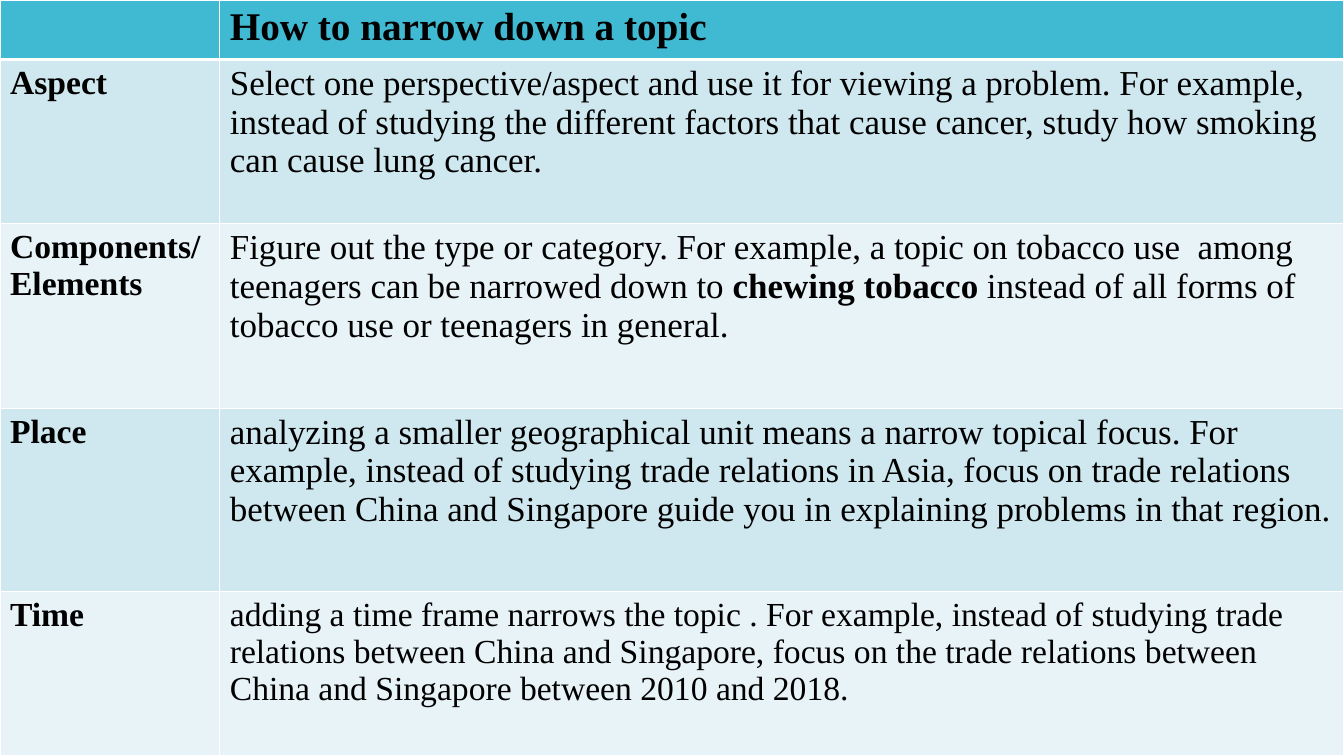
"""Build a slide with a table of ways to narrow down a topic."""
from lxml.etree import SubElement
from pptx import Presentation
from pptx.dml.color import RGBColor
from pptx.oxml.ns import qn
from pptx.util import Inches, Pt

SLIDE_W, SLIDE_H = 13.33, 7.5
LABEL_W = 2.18
ROW_HEIGHTS = [0.59, 1.63, 1.83, 1.82, 1.63]
HEADER_FILL, BAND_FILLS, BORDER = "40BAD2", ["CFE7EE", "E8F3F7"], "FFFFFF"
FONT, TEXT_COLOR = "Times New Roman", "000000"
HEADER_SIZE, LABEL_SIZE = 28, 24

HEADER = "How to narrow down a topic"
ROWS = [
    (["Aspect"], 25, [
        ("Select one perspective/aspect and use it for viewing a problem. For example, instead of "
         "studying the different factors that cause cancer, study how smoking can cause lung cancer.",
         False)]),
    (["Components/", "Elements"], 25, [
        ("Figure out the type or category. For example, a topic on tobacco use  among teenagers "
         "can be narrowed down to ", False),
        ("chewing tobacco ", True),
        ("instead of all forms of tobacco use or teenagers in general.", False)]),
    (["Place"], 25, [
        ("analyzing a smaller geographical unit means a narrow topical focus. For example, instead of "
         "studying trade relations in Asia, focus on trade relations between China and Singapore "
         "guide you in explaining problems in that region.", False)]),
    (["Time"], 24, [
        ("adding a time frame narrows the topic . For example, instead of studying trade relations "
         "between China and Singapore, focus on the trade relations between China and Singapore "
         "between 2010 and 2018.", False)]),
]


def rgb(value):
    return RGBColor.from_string(value)


def write(cell, paragraphs, size):
    tf = cell.text_frame
    for i, runs in enumerate(paragraphs):
        p = tf.add_paragraph() if i else tf.paragraphs[0]
        for text, bold in runs:
            r = p.add_run()
            r.text = text
            for name, value in {"name": FONT, "size": Pt(size), "bold": bold}.items():
                setattr(r.font, name, value)
            r.font.color.rgb = rgb(TEXT_COLOR)


def style(cell, fill, bottom):
    tc_pr = cell._tc.get_or_add_tcPr()
    for side, width in {"L": 1, "R": 1, "T": 1, "B": bottom}.items():
        ln = SubElement(tc_pr, qn(f"a:ln{side}"), w=str(Pt(width)))
        SubElement(SubElement(ln, qn("a:solidFill")), qn("a:srgbClr"), val=BORDER)
    cell.fill.solid()
    cell.fill.fore_color.rgb = rgb(fill)


def main():
    prs = Presentation()
    prs.slide_width, prs.slide_height = Inches(SLIDE_W), Inches(SLIDE_H)
    s = prs.slides.add_slide(prs.slide_layouts[6])
    table = s.shapes.add_table(len(ROW_HEIGHTS), 2, 0, 0, prs.slide_width, prs.slide_height).table
    for column, width in zip(table.columns, [LABEL_W, SLIDE_W - LABEL_W]):
        column.width = Inches(width)
    for i, (row, height) in enumerate(zip(table.rows, ROW_HEIGHTS)):
        row.height = Inches(height)
        for cell in row.cells:
            style(cell, BAND_FILLS[(i - 1) % 2] if i else HEADER_FILL, 1 if i else 3)

    write(table.cell(0, 1), [[(HEADER, True)]], HEADER_SIZE)
    for i, (labels, size, runs) in enumerate(ROWS, 1):
        write(table.cell(i, 0), [[(label, True)] for label in labels], LABEL_SIZE)
        write(table.cell(i, 1), [runs], size)
    prs.save("out.pptx")


if __name__ == "__main__":
    main()
